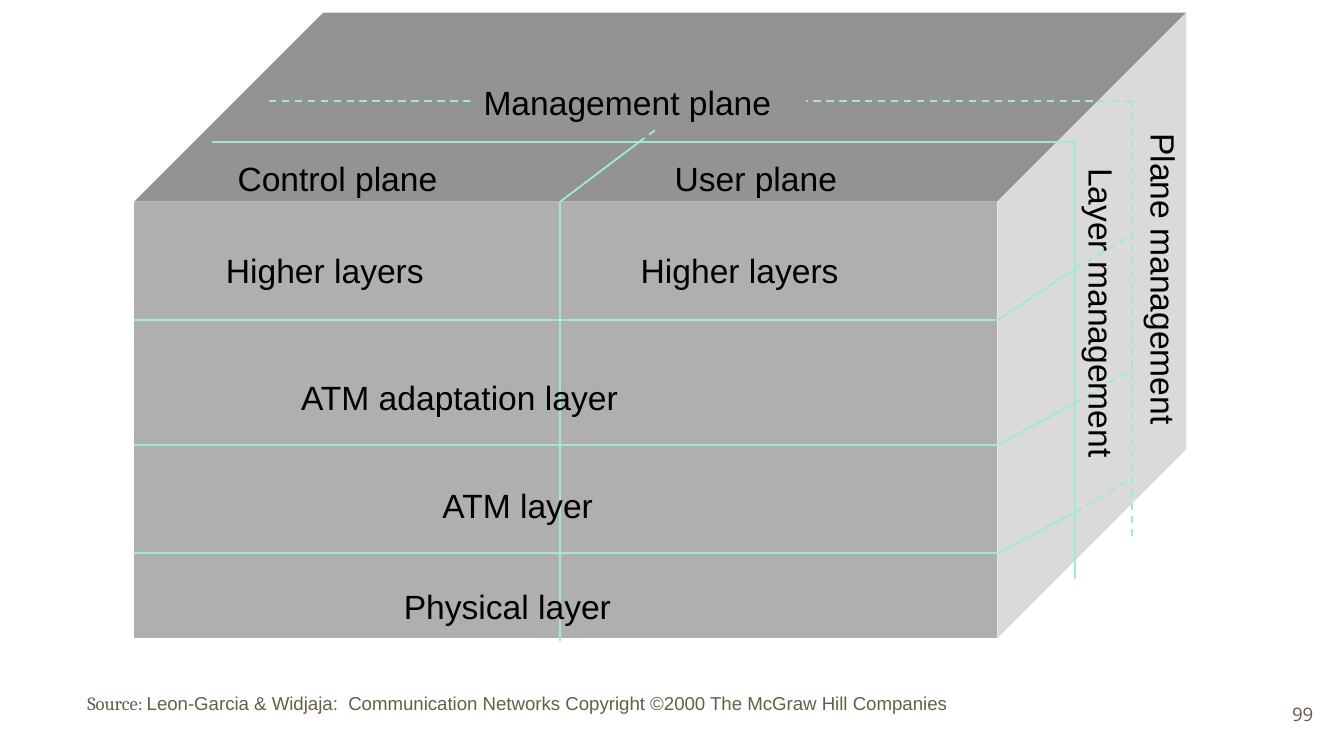
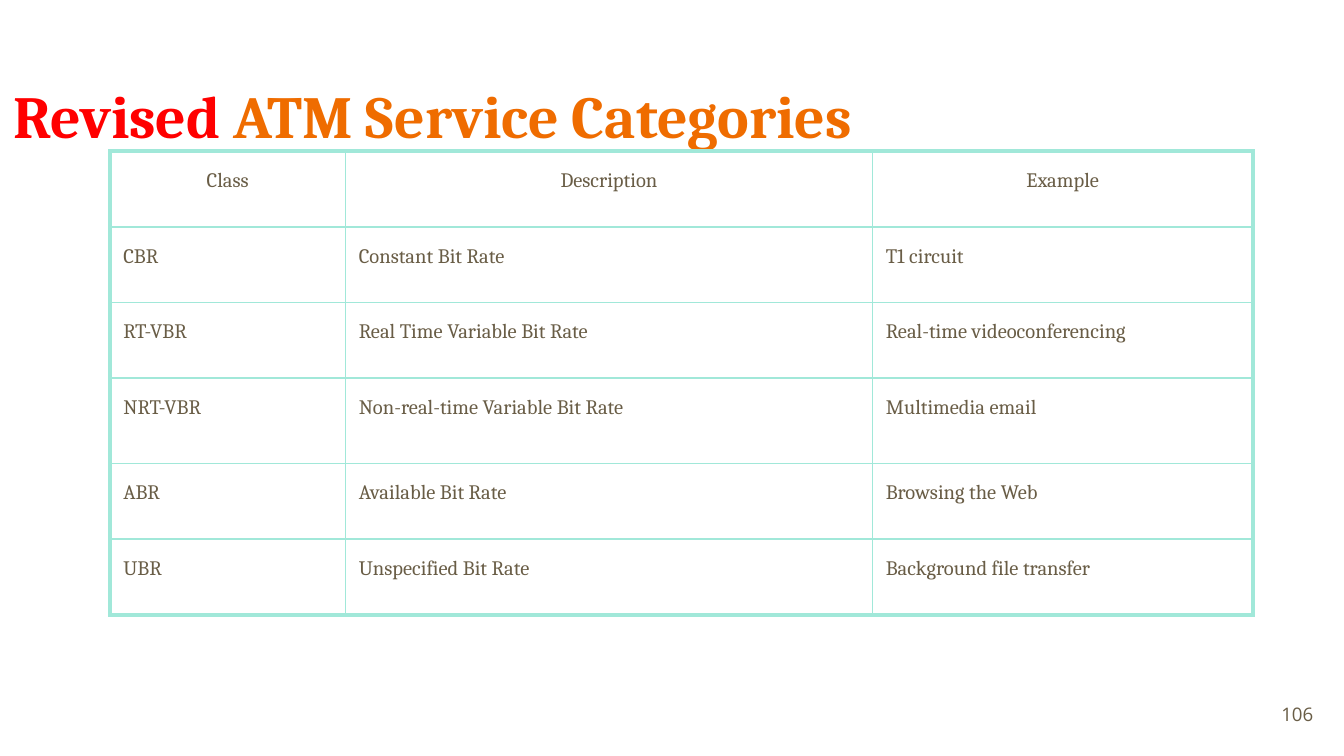
from dataclasses import dataclass
from typing import Optional

from lxml.etree import SubElement
from pptx import Presentation
from pptx.dml.color import RGBColor
from pptx.enum.dml import MSO_LINE
from pptx.enum.shapes import MSO_CONNECTOR
from pptx.enum.text import MSO_ANCHOR, PP_ALIGN
from pptx.oxml.ns import qn
from pptx.slide import Slide
from pptx.table import _Cell
from pptx.text.text import TextFrame, _Paragraph
from pptx.util import Cm, Pt


@dataclass(frozen=True)
class Theme:
    page: str = "FFFFFF"
    line: str = "A1E8D9"
    text: str = "695D46"
    label: str = "000000"
    title: str = "EF6C00"
    accent: str = "FF0000"
    front: str = "AFAFAF"
    top: str = "939393"
    side: str = "DADADA"
    sans: str = "Arial"
    serif: str = "Cambria"
    number: str = "Open Sans"
    title_size: float = 32
    label_size: float = 18
    table_size: float = 11
    small_size: float = 10
    thin: float = 1
    thick: float = 2.25


THEME = Theme()


@dataclass(frozen=True)
class Run:
    text: str
    font: str
    size: float
    color: str
    bold: bool = False


@dataclass(frozen=True)
class Box:
    """Left, top, width and height in centimetres."""
    left: float
    top: float
    width: float
    height: float


@dataclass(frozen=True)
class Label:
    text: str
    box: Box
    centered: bool = False
    vertical: bool = False
    fill: Optional[str] = None


@dataclass(frozen=True)
class Segment:
    start: tuple[float, float]
    end: tuple[float, float]
    dashed: bool = False


# Shared drawing helpers

def add_runs(paragraph: _Paragraph, runs: list[Run]) -> None:
    for item in runs:
        run = paragraph.add_run()
        run.text = item.text
        run.font.name = item.font
        run.font.size = Pt(item.size)
        run.font.bold = item.bold
        run.font.color.rgb = RGBColor.from_string(item.color)


def set_margins(target: TextFrame | _Cell, horizontal: float, vertical: float) -> None:
    target.margin_left = target.margin_right = Cm(horizontal)
    target.margin_top = target.margin_bottom = Cm(vertical)


def add_text(slide: Slide, box: Box, runs: list[Run],
             alignment: PP_ALIGN = PP_ALIGN.LEFT,
             anchor: MSO_ANCHOR = MSO_ANCHOR.TOP,
             vertical_margin: float = 0.13,
             vertical: bool = False, fill: Optional[str] = None) -> None:
    shape = slide.shapes.add_textbox(
        Cm(box.left), Cm(box.top), Cm(box.width), Cm(box.height))
    if fill:
        shape.fill.solid()
        shape.fill.fore_color.rgb = RGBColor.from_string(fill)
    frame = shape.text_frame
    frame.word_wrap = True
    frame.vertical_anchor = anchor
    set_margins(frame, 0.25, vertical_margin)
    if vertical:
        frame._txBody.bodyPr.set("vert", "eaVert")
    paragraph = frame.paragraphs[0]
    paragraph.alignment = alignment
    add_runs(paragraph, runs)


def add_page_number(slide: Slide, number: int) -> None:
    run = Run(str(number), THEME.number, THEME.small_size, THEME.text)
    add_text(slide, Box(23.55, 12.95, 1.52, 1.09), [run],
             PP_ALIGN.RIGHT, MSO_ANCHOR.MIDDLE, 0.25)


def add_segment(slide: Slide, segment: Segment) -> None:
    connector = slide.shapes.add_connector(
        MSO_CONNECTOR.STRAIGHT,
        *(Cm(value) for value in segment.start + segment.end))
    connector.line.color.rgb = RGBColor.from_string(THEME.line)
    connector.line.width = Pt(THEME.thin)
    if segment.dashed:
        connector.line.dash_style = MSO_LINE.DASH
    SubElement(connector._element.spPr, qn("a:effectLst"))


def add_face(slide: Slide, corners: list[tuple[float, float]], color: str) -> None:
    points = [(Cm(x), Cm(y)) for x, y in corners]
    builder = slide.shapes.build_freeform(*points[0])
    builder.add_line_segments(points[1:], close=True)
    shape = builder.convert_to_shape()
    shape.shadow.inherit = False
    shape.fill.solid()
    shape.fill.fore_color.rgb = RGBColor.from_string(color)
    shape.line.fill.background()


# Block geometry: front face, depth, and the two management planes
LEFT, TOP, RIGHT, BOTTOM, DEPTH = 2.54, 3.81, 18.85, 12.06, 3.57
MIDDLE = 10.59
LAYER_X, LAYER_Y = 20.32, 2.69
PLANE_X, PLANE_Y = 21.39, 1.91
PLANE_HEIGHT = 8.26
PLANE_RISE = 0.64
# Height of each layer boundary on the front and on the layer plane
BOUNDARIES = [(6.05, 5.08), (8.41, 7.62), (10.46, 9.68)]

LABELS = [
    Label("Management plane", Box(8.89, 1.42, 6.35, 1.02), fill=THEME.top),
    Label("Control plane", Box(4.24, 2.85, 6.15, 1.02)),
    Label("User plane", Box(12.5, 2.85, 5.08, 1.02)),
    Label("Higher layers", Box(4.02, 4.6, 4.88, 1.02)),
    Label("Higher layers", Box(11.86, 4.6, 4.88, 1.02)),
    Label("ATM adaptation layer", Box(5.44, 6.99, 8.26, 1.02)),
    Label("ATM layer", Box(5.44, 9.04, 8.69, 1.02), centered=True),
    Label("Physical layer", Box(5.36, 10.95, 8.46, 1.02), centered=True),
    Label("Layer management", Box(20.19, 3.05, 1.27, 7.14), vertical=True),
    Label("Plane management", Box(21.36, 2.39, 1.27, 7.14), vertical=True),
]


def block_segments() -> list[Segment]:
    width = RIGHT - LEFT
    segments = [
        Segment((PLANE_X - width, PLANE_Y), (PLANE_X, PLANE_Y), True),
        Segment((PLANE_X, PLANE_Y), (PLANE_X, PLANE_Y + PLANE_HEIGHT), True),
        Segment((LAYER_X - width, LAYER_Y), (LAYER_X, LAYER_Y)),
        Segment((LAYER_X, LAYER_Y), (LAYER_X, LAYER_Y + PLANE_HEIGHT)),
        Segment((MIDDLE, TOP), (MIDDLE, 12.12)),
        Segment((MIDDLE, TOP), (12.07, LAYER_Y)),
        Segment((12.07, LAYER_Y), (13.13, PLANE_Y), True),
    ]
    for front_y, layer_y in BOUNDARIES:
        segments += [
            Segment((LEFT, front_y), (RIGHT, front_y)),
            Segment((RIGHT, front_y), (LAYER_X, layer_y)),
            Segment((LAYER_X, layer_y), (PLANE_X, layer_y - PLANE_RISE), True),
        ]
    return segments


def build_reference_model(slide: Slide) -> None:
    # Three visible faces of the block
    back_top = (RIGHT + DEPTH, TOP - DEPTH)
    add_face(slide, [(LEFT, TOP), (RIGHT, TOP), (RIGHT, BOTTOM), (LEFT, BOTTOM)],
             THEME.front)
    add_face(slide, [(LEFT, TOP), (LEFT + DEPTH, TOP - DEPTH), back_top, (RIGHT, TOP)],
             THEME.top)
    add_face(slide, [(RIGHT, TOP), back_top, (RIGHT + DEPTH, BOTTOM - DEPTH),
                     (RIGHT, BOTTOM)], THEME.side)

    # Dividing lines, then labels above them
    for segment in block_segments():
        add_segment(slide, segment)
    for label in LABELS:
        run = Run(label.text, THEME.sans, THEME.label_size, THEME.label)
        add_text(slide, label.box, [run],
                 PP_ALIGN.CENTER if label.centered else PP_ALIGN.LEFT,
                 vertical=label.vertical, fill=label.fill)

    # Source line
    add_text(slide, Box(1.4, 12.95, 22.53, 1.12), [
        Run("Source: ", THEME.serif, THEME.small_size, THEME.text),
        Run("Leon-Garcia & Widjaja:  Communication Networks "
            "Copyright ©2000 The McGraw Hill Companies",
            THEME.sans, THEME.small_size, THEME.text),
    ])


# Service category table
CATEGORIES = [
    ("Class", "Description", "Example"),
    ("CBR", "Constant Bit Rate", "T1 circuit"),
    ("RT-VBR", "Real Time Variable Bit Rate", "Real-time videoconferencing"),
    ("NRT-VBR", "Non-real-time Variable Bit Rate", "Multimedia email"),
    ("ABR", "Available Bit Rate", "Browsing the Web"),
    ("UBR", "Unspecified Bit Rate", "Background file transfer"),
]
COLUMN_WIDTHS = [4.45, 9.96, 7.19]
ROW_HEIGHTS = [1.43, 1.43, 1.43, 1.61, 1.43, 1.43]


def set_borders(cell: _Cell, outer_sides: dict[str, bool]) -> None:
    properties = cell._tc.get_or_add_tcPr()
    for side, is_outer in outer_sides.items():
        width = Pt(THEME.thick if is_outer else THEME.thin)
        border = SubElement(properties, qn(f"a:ln{side}"), w=str(width))
        fill = SubElement(border, qn("a:solidFill"))
        SubElement(fill, qn("a:srgbClr"), val=THEME.line)


def build_service_categories(slide: Slide) -> None:
    add_text(slide, Box(0, 1.24, 23.67, 1.96), [
        Run("Revised", THEME.serif, THEME.title_size, THEME.accent, True),
        Run(" ATM Service Categories", THEME.serif, THEME.title_size,
            THEME.title, True),
    ], vertical_margin=0.25)

    table = slide.shapes.add_table(
        len(CATEGORIES), len(COLUMN_WIDTHS), Cm(2.08), Cm(2.86),
        Cm(sum(COLUMN_WIDTHS)), Cm(sum(ROW_HEIGHTS))).table
    table.first_row = table.horz_banding = False
    for column, width in zip(table.columns, COLUMN_WIDTHS):
        column.width = Cm(width)
    for row, height in zip(table.rows, ROW_HEIGHTS):
        row.height = Cm(height)

    last_row, last_column = len(CATEGORIES) - 1, len(COLUMN_WIDTHS) - 1
    for row_index, texts in enumerate(CATEGORIES):
        for column_index, text in enumerate(texts):
            cell = table.cell(row_index, column_index)
            set_borders(cell, {"L": column_index == 0,
                               "R": column_index == last_column,
                               "T": row_index == 0,
                               "B": row_index == last_row})
            cell.fill.solid()
            cell.fill.fore_color.rgb = RGBColor.from_string(THEME.page)
            set_margins(cell, 0.25, 0.11)
            paragraph = cell.text_frame.paragraphs[0]
            paragraph.line_spacing = 1.5
            paragraph.alignment = PP_ALIGN.LEFT if row_index else PP_ALIGN.CENTER
            add_runs(paragraph, [Run(text, THEME.serif, THEME.table_size, THEME.text)])


def main() -> None:
    presentation = Presentation()
    presentation.slide_width, presentation.slide_height = Cm(25.4), Cm(14.29)
    pages = [(99, build_reference_model), (106, build_service_categories)]
    for number, build in pages:
        slide = presentation.slides.add_slide(presentation.slide_layouts[6])
        slide.background.fill.solid()
        slide.background.fill.fore_color.rgb = RGBColor.from_string(THEME.page)
        add_page_number(slide, number)
        build(slide)
    presentation.save("out.pptx")


if __name__ == "__main__":
    main()
